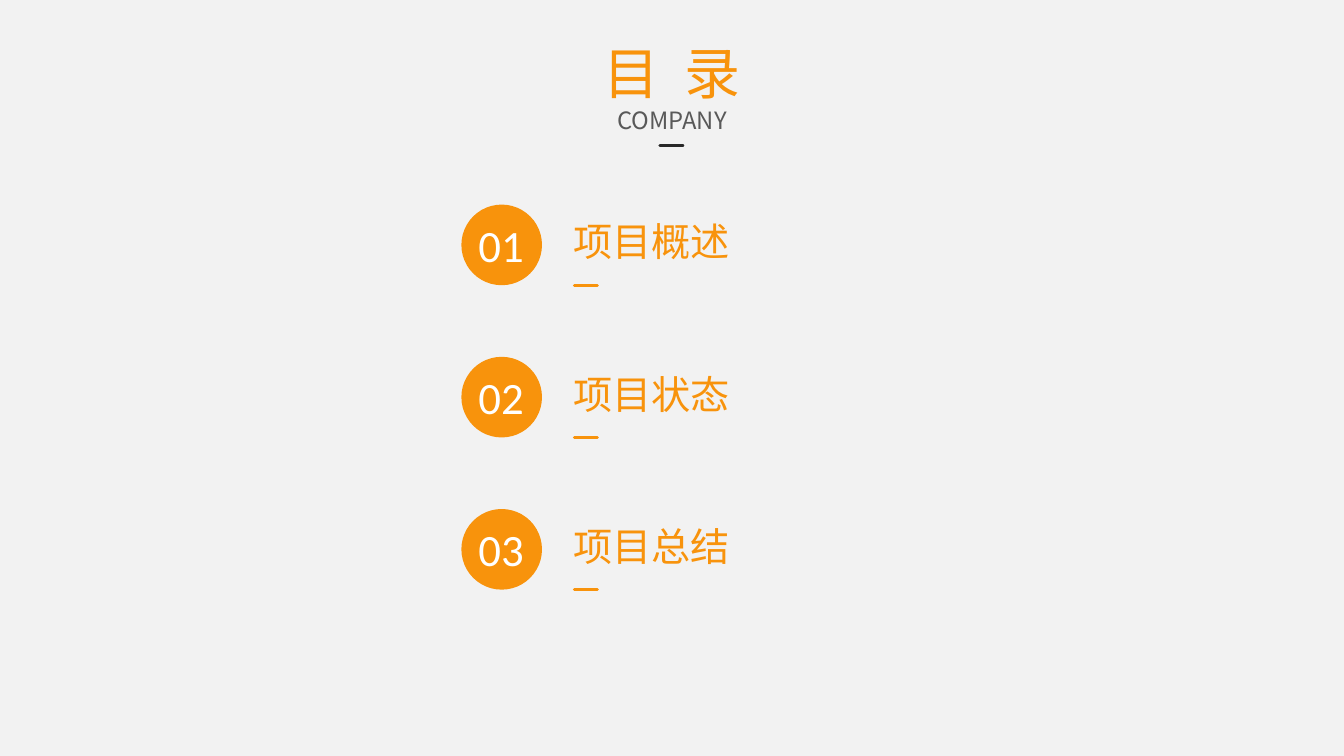
"""Build the contents slide with its heading and three numbered entries."""
from dataclasses import dataclass

from lxml.etree import SubElement
from pptx import Presentation
from pptx.dml.color import RGBColor
from pptx.enum.shapes import MSO_CONNECTOR as Line, MSO_SHAPE as Shape
from pptx.enum.text import MSO_ANCHOR as Anchor, MSO_AUTO_SIZE as Fit, PP_ALIGN as Align
from pptx.oxml.ns import qn
from pptx.shapes.group import GroupShape
from pptx.slide import Slide
from pptx.text.text import TextFrame, _Paragraph as Paragraph
from pptx.util import Inches, Pt


@dataclass(frozen=True)
class Theme:
    accent: str = "F8930C"
    background: str = "F2F2F2"
    muted: str = "595959"
    dark: str = "282828"
    white: str = "FFFFFF"
    cjk: str = "Noto Sans CJK SC"
    latin: str = "Calibri"
    title: int = 40
    number: int = 32
    entry: int = 28
    subtitle: int = 17
    rule: int = 2


@dataclass(frozen=True)
class Grid:
    top: float = 2.03
    pitch: float = 1.51
    circle: float = 4.58
    number: float = 4.65
    label: float = 5.59
    rule: float = 5.7
    diameter: float = 0.8
    text_drop: float = 0.08
    rule_length: float = 0.23


@dataclass(frozen=True)
class Entry:
    number: str
    label: str


THEME = Theme()
GRID = Grid()
ENTRIES = [Entry("01", "项目概述"), Entry("02", "项目状态"), Entry("03", "项目总结")]


def style(p: Paragraph, size: int, color: str, font: str, align: Align = Align.LEFT) -> None:
    p.alignment = align
    p.font.size = Pt(size)
    p.font.color.rgb = RGBColor.from_string(color)
    p.font.name = font
    SubElement(p._p.pPr.find(qn("a:defRPr")), qn("a:ea"), typeface=font)


def frame(tf: TextFrame, wrap: bool) -> None:
    tf.word_wrap = wrap
    tf.auto_size = Fit.NONE
    tf.vertical_anchor = Anchor.TOP


def add_rule(shapes, left: float, top: float, color: str) -> None:
    y = Inches(top)
    s = shapes.add_connector(Line.STRAIGHT, Inches(left), y, Inches(left + GRID.rule_length), y)
    s.line.color.rgb = RGBColor.from_string(color)
    s.line.width = Pt(THEME.rule)
    s.line._get_or_add_ln().set("cap", "rnd")
    SubElement(s._element.spPr, qn("a:effectLst"))


def add_label(group: GroupShape, text: str, left: float, top: float, width: float,
              height: float, size: int, color: str, font: str, wrap: bool) -> None:
    s = group.shapes.add_textbox(Inches(left), Inches(top), Inches(width), Inches(height))
    frame(s.text_frame, wrap)
    p = s.text_frame.paragraphs[0]
    p.text = text
    style(p, size, color, font)


def add_entry(slide: Slide, entry: Entry, row: int) -> None:
    top = GRID.top + row * GRID.pitch
    text_top = top + GRID.text_drop
    group = slide.shapes.add_group_shape()
    circle = group.shapes.add_shape(Shape.OVAL, Inches(GRID.circle), Inches(top),
                                    Inches(GRID.diameter), Inches(GRID.diameter))
    circle.shadow.inherit = False
    circle.fill.solid()
    circle.fill.fore_color.rgb = RGBColor.from_string(THEME.accent)
    circle.line.fill.background()
    add_label(group, entry.number, GRID.number, text_top, 0.65, 0.64,
              THEME.number, THEME.white, THEME.latin, False)
    add_label(group, entry.label, GRID.label, text_top, 3.16, 0.57,
              THEME.entry, THEME.accent, THEME.cjk, True)
    add_rule(group.shapes, GRID.rule, top + GRID.diameter, THEME.accent)


def add_heading(slide: Slide) -> None:
    s = slide.shapes.title
    s.left, s.top, s.width, s.height = (Inches(v) for v in (5.89, 0.33, 1.56, 1.05))
    tf = s.text_frame
    frame(tf, False)
    p = tf.paragraphs[0]
    for text in ("目", " ", "录"):
        p.add_run().text = text
    p.runs[1]._r.get_or_add_rPr().set("spc", "900")
    style(p, THEME.title, THEME.accent, THEME.cjk, Align.CENTER)
    p = tf.add_paragraph()
    p.text = "COMPANY"
    style(p, THEME.subtitle, THEME.muted, THEME.cjk, Align.CENTER)
    add_rule(slide.shapes, 6.55, 1.44, THEME.dark)


def main() -> None:
    prs = Presentation()
    prs.slide_width, prs.slide_height = Inches(13.34), Inches(7.5)
    slide = prs.slides.add_slide(prs.slide_layouts[5])
    slide.background.fill.solid()
    slide.background.fill.fore_color.rgb = RGBColor.from_string(THEME.background)
    add_heading(slide)
    for row, entry in enumerate(ENTRIES):
        add_entry(slide, entry, row)
    prs.save("out.pptx")


if __name__ == "__main__":
    main()
